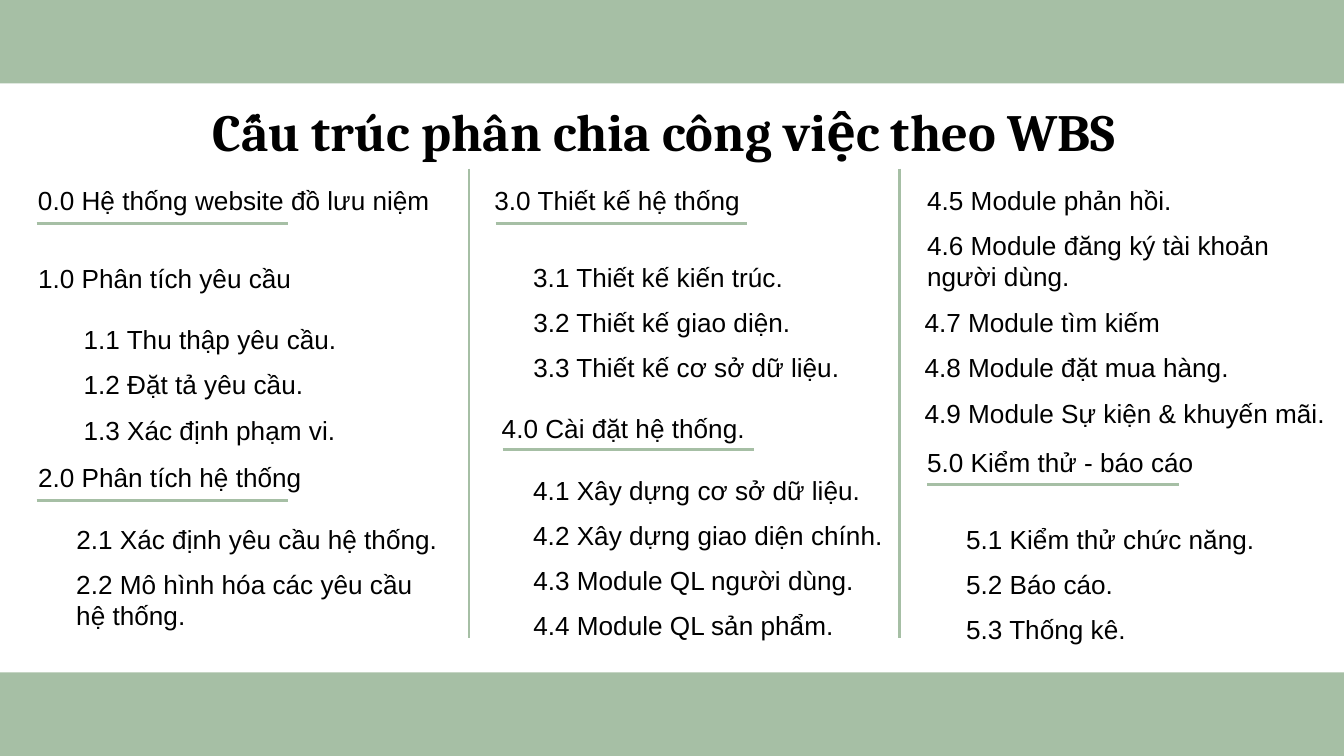
from lxml.etree import SubElement
from pptx import Presentation
from pptx.dml.color import RGBColor
from pptx.enum.shapes import MSO_CONNECTOR, MSO_SHAPE
from pptx.enum.text import MSO_ANCHOR, MSO_AUTO_SIZE, PP_ALIGN
from pptx.oxml.ns import qn
from pptx.util import Pt

SAGE = RGBColor(0xA6, 0xBF, 0xA5)
BLACK = RGBColor(0, 0, 0)

TITLE = "Cấu trúc phân chia công việc theo WBS"
GROUPS = [
    (13.3, 95, [("0.0 Hệ thống website đồ lưu niệm", 225)]),
    (13.3, 136.8, [("1.0 Phân tích yêu cầu", 151)]),
    (37.7, 169.8, [("1.1 Thu thập yêu cầu.", 151),
                   ("1.2 Đặt tả yêu cầu.", 133),
                   ("1.3 Xác định phạm vi.", 150)]),
    (13.3, 243.5, [("2.0 Phân tích hệ thống", 156)]),
    (33.8, 276.7, [("2.1 Xác định yêu cầu hệ thống.", 209),
                   ("2.2 Mô hình hóa các yêu cầu hệ thống.", 204.5)]),
    (257.8, 95, [("3.0 Thiết kế hệ thống", 147)]),
    (278.6, 136.5, [("3.1 Thiết kế kiến trúc.", 149),
                    ("3.2 Thiết kế giao diện.", 153.5),
                    ("3.3 Thiết kế cơ sở dữ liệu.", 179)]),
    (261.7, 217.6, [("4.0 Cài đặt hệ thống.", 145)]),
    (278.6, 250.6, [("4.1 Xây dựng cơ sở dữ liệu.", 191),
                    ("4.2 Xây dựng giao diện chính.", 202.5),
                    ("4.3 Module QL người dùng.", 187),
                    ("4.4 Module QL sản phẩm.", 176.5)]),
    (489.6, 95, [("4.5 Module phản hồi.", 146),
                 ("4.6 Module đăng ký tài khoản người dùng.", 219)]),
    (488.2, 160.7, [("4.7 Module tìm kiếm", 141),
                    ("4.8 Module đặt mua hàng.", 178),
                    ("4.9 Module Sự kiện & khuyến mãi.", 234)]),
    (489.6, 235.6, [("5.0 Kiểm thử - báo cáo", 158)]),
    (510.5, 276.7, [("5.1 Kiểm thử chức năng.", 170),
                    ("5.2 Báo cáo.", 93.5),
                    ("5.3 Thống kê.", 101)]),
]
WRAPPED = {"2.2", "4.6"}
UNDERLINES = [(19.6, 119.6), (19.6, 268.3), (265.5, 119.6), (269.3, 241), (496.8, 259.7)]
DIVIDERS = [251.3, 481.9]

WIDTH, HEIGHT, BAND = 720, 405, 44.8
PITCH, LINE_H, TWO_LINES_H = 24.2, 24.2, 41
UNDERLINE_W = 134.6
DIVIDER_TOP, DIVIDER_BOTTOM = 90.3, 342

prs = Presentation()
prs.slide_width, prs.slide_height = Pt(WIDTH), Pt(HEIGHT)
s = prs.slides.add_slide(prs.slide_layouts[6])


def add_band(top):
    sp = s.shapes.add_shape(MSO_SHAPE.RECTANGLE, 0, Pt(top), Pt(WIDTH), Pt(BAND))
    sp.shadow.inherit = False
    sp.fill.solid()
    sp.fill.fore_color.rgb = SAGE
    sp.line.fill.background()


def add_text(text, x, y, w, h, size=14, font="Arial", bold=False, wrap=False):
    tf = s.shapes.add_textbox(Pt(x), Pt(y), Pt(w), Pt(h)).text_frame
    tf.word_wrap = wrap
    r = tf.paragraphs[0].add_run()
    r.text = text
    r.font.size, r.font.name, r.font.bold = Pt(size), font, bold
    r.font.color.rgb = BLACK
    return tf


def add_rule(x1, y1, x2, y2):
    c = s.shapes.add_connector(MSO_CONNECTOR.STRAIGHT, Pt(x1), Pt(y1), Pt(x2), Pt(y2))
    c.line.color.rgb = SAGE
    c.line.width = Pt(1.5)
    SubElement(c.element.spPr, qn("a:effectLst"))


for top in (0, HEIGHT - BAND):
    add_band(top)

tf = add_text(TITLE, 48.2, 44.8, 615, 50.4, 28, "Cambria", True, True)
tf.margin_top = tf.margin_bottom = Pt(7.2)
tf.vertical_anchor = MSO_ANCHOR.MIDDLE
tf.paragraphs[0].alignment = PP_ALIGN.CENTER

for left, top, items in GROUPS:
    for i, (text, width) in enumerate(items):
        wrap = text[:3] in WRAPPED
        height = TWO_LINES_H if wrap else LINE_H
        tf = add_text(text, left, top + i * PITCH, width, height, wrap=wrap)
        tf.auto_size = MSO_AUTO_SIZE.SHAPE_TO_FIT_TEXT

for x, y in UNDERLINES:
    add_rule(x, y, x + UNDERLINE_W, y)
for x in DIVIDERS:
    add_rule(x, DIVIDER_TOP, x, DIVIDER_BOTTOM)

prs.save("out.pptx")
